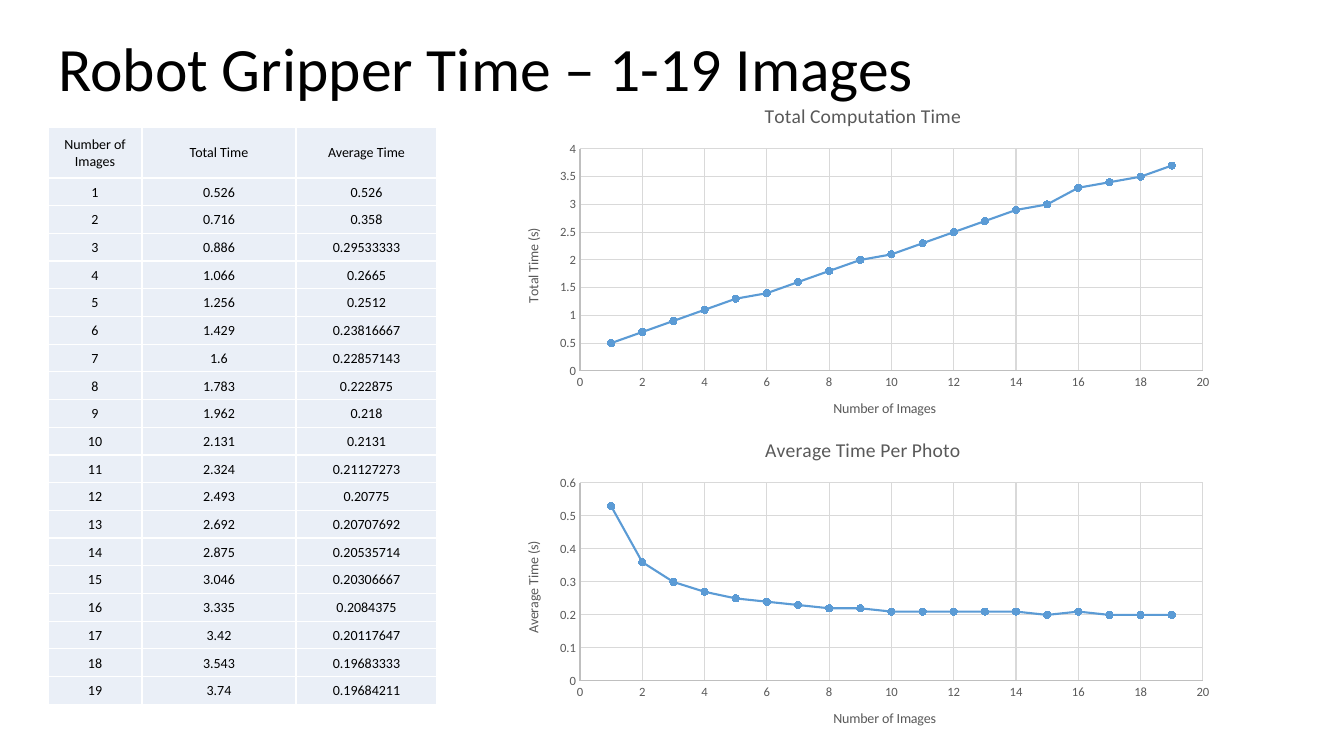
from dataclasses import dataclass

from lxml.etree import SubElement
from pptx import Presentation
from pptx.chart.data import XyChartData
from pptx.dml.color import RGBColor
from pptx.enum.chart import XL_CHART_TYPE, XL_MARKER_STYLE, XL_TICK_MARK
from pptx.enum.text import MSO_ANCHOR, PP_ALIGN
from pptx.oxml.ns import qn
from pptx.util import Emu, Inches, Pt


@dataclass(frozen=True)
class Theme:
    font: str = "Calibri"
    black: str = "000000"
    white: str = "FFFFFF"
    gray: str = "595959"
    axis: str = "BFBFBF"
    grid: str = "D9D9D9"
    series: str = "5B9BD5"
    cell: str = "EAEFF7"
    title_size: int = 44
    chart_title_size: int = 14
    text_size: int = 10
    tick_size: int = 9


THEME = Theme()
EMU_PER_PX = 914400 / 100.8
TOTAL_TIMES = [
    0.526, 0.716, 0.886, 1.066, 1.256, 1.429, 1.6, 1.783, 1.962, 2.131,
    2.324, 2.493, 2.692, 2.875, 3.046, 3.335, 3.42, 3.543, 3.74,
]
AVERAGE_TIMES = [round(total / count, 8) for count, total in enumerate(TOTAL_TIMES, 1)]


def px(length):
    return Emu(round(length * EMU_PER_PX))


def set_font(font, size, color):
    font.name = THEME.font
    font.size = Pt(size)
    font.bold = False
    font.color.rgb = RGBColor.from_string(color)


def set_line(line, color, width):
    line.color.rgb = RGBColor.from_string(color)
    line.width = Pt(width)


def add_title(slide, text, box):
    title = slide.shapes.title
    title.left, title.top, title.width, title.height = map(px, box)
    frame = title.text_frame
    frame.text = text
    frame.vertical_anchor = MSO_ANCHOR.MIDDLE
    paragraph = frame.paragraphs[0]
    paragraph.alignment = PP_ALIGN.LEFT
    paragraph.line_spacing = 0.9
    set_font(paragraph.font, THEME.title_size, THEME.black)


def set_chart_text(frame, text, size):
    frame.text = text
    set_font(frame.paragraphs[0].font, size, THEME.gray)


def format_axis(axis, title, maximum, step):
    axis.minimum_scale = 0
    axis.maximum_scale = maximum
    axis.major_unit = step
    axis.major_tick_mark = XL_TICK_MARK.NONE
    axis.minor_tick_mark = XL_TICK_MARK.NONE
    axis.has_major_gridlines = True
    set_line(axis.major_gridlines.format.line, THEME.grid, 0.75)
    set_line(axis.format.line, THEME.axis, 0.75)
    axis.tick_labels.number_format = "General"
    axis.tick_labels.number_format_is_linked = False
    set_font(axis.tick_labels.font, THEME.tick_size, THEME.gray)
    set_chart_text(axis.axis_title.text_frame, title, THEME.text_size)


def place_plot(chart, box, plot_box):
    left, top, width, height = box
    plot_left, plot_top, plot_width, plot_height = plot_box
    plot_area = chart._chartSpace.chart.plotArea
    layout = plot_area.find(qn("c:layout"))
    if layout is None:
        layout = SubElement(plot_area, qn("c:layout"))
        plot_area.insert(0, layout)
    manual = SubElement(layout, qn("c:manualLayout"))
    settings = {
        "layoutTarget": "inner",
        "xMode": "edge",
        "yMode": "edge",
        "x": (plot_left - left) / width,
        "y": (plot_top - top) / height,
        "w": plot_width / width,
        "h": plot_height / height,
    }
    for name, value in settings.items():
        SubElement(manual, qn(f"c:{name}")).set("val", str(value))


def add_time_chart(slide, title, axis_title, times, digits, maximum, step, box, plot_box):
    data = XyChartData()
    points = data.add_series("Series 1")
    for count, time in enumerate(times, 1):
        points.add_data_point(count, round(time, digits))
    frame = slide.shapes.add_chart(XL_CHART_TYPE.XY_SCATTER_LINES, *map(px, box), data)
    chart = frame.chart
    set_font(chart.font, THEME.text_size, THEME.black)
    chart.has_legend = False
    set_chart_text(chart.chart_title.text_frame, title, THEME.chart_title_size)
    chart.chart_title.include_in_layout = False
    format_axis(chart.category_axis, "Number of Images", 20, 2)
    format_axis(chart.value_axis, axis_title, maximum, step)
    chart.plots[0].vary_by_categories = False
    series = chart.plots[0].series[0]
    series.smooth = False
    set_line(series.format.line, THEME.series, 1.5)
    marker = series.marker
    marker.style = XL_MARKER_STYLE.CIRCLE
    marker.size = 5
    marker.format.fill.solid()
    marker.format.fill.fore_color.rgb = RGBColor.from_string(THEME.series)
    set_line(marker.format.line, THEME.series, 0.75)
    place_plot(chart, box, plot_box)


def add_borders(cell):
    properties = cell._tc.get_or_add_tcPr()
    for position, side in enumerate(("lnL", "lnR", "lnT", "lnB")):
        border = SubElement(properties, qn(f"a:{side}"), w=str(Pt(1)))
        fill = SubElement(border, qn("a:solidFill"))
        SubElement(fill, qn("a:srgbClr"), val=THEME.white)
        properties.insert(position, border)


def format_cell(cell, text):
    cell.fill.solid()
    cell.fill.fore_color.rgb = RGBColor.from_string(THEME.cell)
    cell.vertical_anchor = MSO_ANCHOR.MIDDLE
    cell.margin_left = cell.margin_right = cell.margin_top = Inches(0.01)
    cell.margin_bottom = 0
    cell.text = text
    paragraph = cell.text_frame.paragraphs[0]
    paragraph.alignment = PP_ALIGN.CENTER
    set_font(paragraph.font, THEME.text_size, THEME.black)
    add_borders(cell)


def add_time_table(slide, left, top, column_widths, header_height, body_height):
    rows = [("Number of Images", "Total Time", "Average Time")]
    for count, (total, average) in enumerate(zip(TOTAL_TIMES, AVERAGE_TIMES), 1):
        rows.append((str(count), str(total), str(average)))
    box = (left, top, sum(column_widths), header_height + body_height)
    table = slide.shapes.add_table(len(rows), len(column_widths), *map(px, box)).table
    table.first_row = False
    table.horz_banding = False
    for column, width in zip(table.columns, column_widths):
        column.width = px(width)
    for row in table.rows:
        row.height = px(body_height / len(TOTAL_TIMES))
    table.rows[0].height = px(header_height)
    for row, texts in zip(table.rows, rows):
        for cell, text in zip(row.cells, texts):
            format_cell(cell, text)


def main():
    presentation = Presentation()
    presentation.slide_width = px(1344)
    presentation.slide_height = px(756)
    slide = presentation.slides.add_slide(presentation.slide_layouts[5])
    add_title(slide, "Robot Gripper Time – 1-19 Images", (48, 0, 1159, 143))
    add_time_chart(
        slide, "Average Time Per Photo", "Average Time (s)", AVERAGE_TIMES, 2, 0.6, 0.1,
        (502, 421, 722, 326), (580, 483, 623, 198),
    )
    add_time_chart(
        slide, "Total Computation Time", "Total Time (s)", TOTAL_TIMES, 1, 4, 0.5,
        (502, 86, 722, 352), (580, 149, 623, 222),
    )
    add_time_table(slide, 48, 127, (94, 154, 141), 51, 527)
    presentation.save("out.pptx")


if __name__ == "__main__":
    main()
